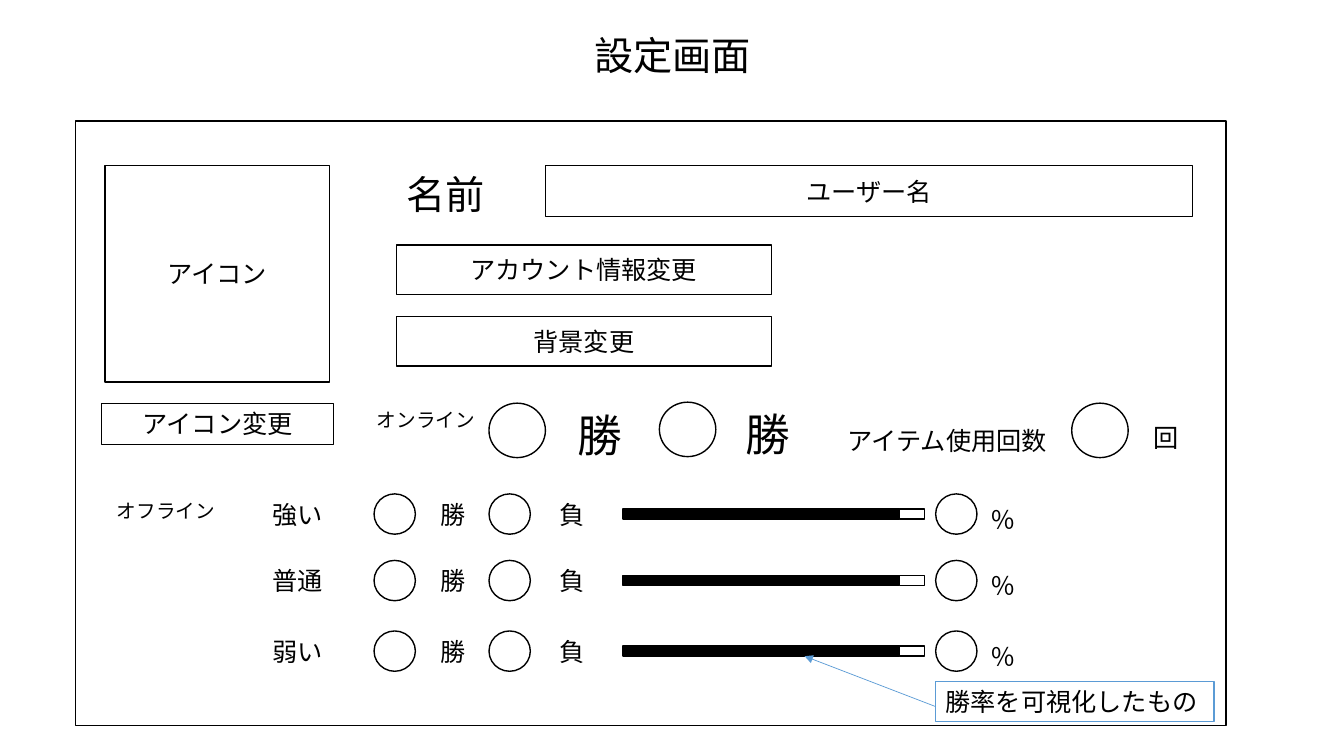
from dataclasses import dataclass

from lxml.etree import SubElement
from pptx import Presentation
from pptx.dml.color import RGBColor
from pptx.enum.shapes import MSO_CONNECTOR, MSO_SHAPE
from pptx.enum.text import MSO_ANCHOR, MSO_AUTO_SIZE, PP_ALIGN
from pptx.oxml.ns import qn
from pptx.shapes.autoshape import Shape
from pptx.slide import Slide
from pptx.util import Inches, Pt

FONT = "Noto Sans CJK JP"
BLACK, WHITE, BLUE = "000000", "FFFFFF", "5B9BD5"
CENTERED = {"vertical_anchor": MSO_ANCHOR.MIDDLE}
GROWING = {"vertical_anchor": MSO_ANCHOR.TOP, "auto_size": MSO_AUTO_SIZE.SHAPE_TO_FIT_TEXT}


@dataclass
class Label:
    text: str
    left: float
    top: float
    width: float
    height: float = 0.4
    size: int = 18


@dataclass
class Figure:
    left: float
    top: float
    width: float
    height: float
    text: str = ""
    kind: MSO_SHAPE = MSO_SHAPE.RECTANGLE
    fill: str = WHITE
    line: str = BLACK


@dataclass
class Difficulty:
    name: str
    top: float


def color(value: str) -> RGBColor:
    return RGBColor.from_string(value)


def write(shape: Shape, text: str, size: int, align: PP_ALIGN, frame_format: dict) -> None:
    frame = shape.text_frame
    for name, value in {"word_wrap": True, **frame_format}.items():
        setattr(frame, name, value)
    paragraph = frame.paragraphs[0]
    paragraph.alignment = align
    run = paragraph.add_run()
    run.text = text
    for name, value in {"name": FONT, "size": Pt(size)}.items():
        setattr(run.font, name, value)
    run.font.color.rgb = color(BLACK)
    SubElement(run.font._element, qn("a:ea"), typeface=FONT)


def draw_label(slide: Slide, label: Label) -> None:
    box = slide.shapes.add_textbox(
        Inches(label.left), Inches(label.top), Inches(label.width), Inches(label.height))
    write(box, label.text, label.size, PP_ALIGN.LEFT, GROWING)


def draw_figure(slide: Slide, figure: Figure) -> Shape:
    shape = slide.shapes.add_shape(
        figure.kind, Inches(figure.left), Inches(figure.top),
        Inches(figure.width), Inches(figure.height))
    shape.shadow.inherit = False
    shape.fill.solid()
    shape.fill.fore_color.rgb = color(figure.fill)
    shape.line.color.rgb = color(figure.line)
    shape.line.width = Pt(1)
    if figure.text:
        write(shape, figure.text, 18, PP_ALIGN.CENTER, CENTERED)
    return shape


def draw_title(slide: Slide) -> None:
    title = slide.shapes.add_textbox(Inches(0.92), Inches(0.4), Inches(11.5), Inches(0.34))
    write(title, "設定画面", 28, PP_ALIGN.CENTER, CENTERED)
    title.text_frame.paragraphs[0].line_spacing = 0.9


def draw_difficulty(slide: Slide, difficulty: Difficulty) -> None:
    top = difficulty.top
    for left in (3.71, 4.85, 9.28):
        draw_figure(slide, Figure(left, top, 0.41, 0.4, kind=MSO_SHAPE.OVAL))
    draw_figure(slide, Figure(6.18, top + 0.15, 2.74, 0.1, fill=BLACK))
    draw_figure(slide, Figure(8.92, top + 0.15, 0.25, 0.1))
    for label in (
        Label(difficulty.name, 2.6, top, 0.72),
        Label("勝", 4.27, top, 0.4),
        Label("負", 5.45, top, 0.4),
        Label("％", 9.73, top + 0.05, 0.4),
    ):
        draw_label(slide, label)


def draw_callout(slide: Slide) -> None:
    arrow = slide.shapes.add_connector(
        MSO_CONNECTOR.STRAIGHT, Inches(9.28), Inches(7.01), Inches(7.98), Inches(6.51))
    arrow.line.color.rgb = color(BLUE)
    arrow.line.width = Pt(0.5)
    SubElement(arrow.line._get_or_add_ln(), qn("a:tailEnd"), type="triangle")
    SubElement(arrow._element.spPr, qn("a:effectLst"))
    callout = draw_figure(slide, Figure(9.28, 6.76, 2.76, 0.4, line=BLUE))
    write(callout, "勝率を可視化したもの", 18, PP_ALIGN.LEFT, GROWING)


FIGURES = [
    Figure(0.75, 1.2, 11.41, 6),
    Figure(1.04, 1.64, 2.23, 2.15, "アイコン"),
    Figure(1.01, 4, 2.3, 0.41, "アイコン変更"),
    Figure(5.41, 1.64, 6.42, 0.51, "ユーザー名"),
    Figure(3.93, 2.43, 3.72, 0.49, "アカウント情報変更"),
    Figure(3.93, 3.14, 3.72, 0.49, "背景変更"),
    *(Figure(left, top, 0.56, 0.54, kind=MSO_SHAPE.OVAL)
      for left, top in ((4.85, 4), (6.54, 3.99), (10.63, 4))),
]

LABELS = [
    Label("名前", 3.93, 1.64, 1.29, 0.57, 28),
    Label("オンライン", 3.64, 4, 1.21, 0.34, 14),
    Label("勝", 5.63, 4, 0.68, 0.64, 32),
    Label("勝", 7.3, 3.99, 0.68, 0.64, 32),
    Label("アイテム使用回数", 8.31, 4.17, 2.82),
    Label("回", 11.34, 4.14, 0.54),
    Label("オフライン", 1.06, 4.9, 1.21, 0.34, 14),
]

DIFFICULTIES = [Difficulty("強い", 4.9), Difficulty("普通", 5.56), Difficulty("弱い", 6.26)]


def main() -> None:
    presentation = Presentation()
    presentation.slide_width = Inches(13.33)
    presentation.slide_height = Inches(7.5)
    slide = presentation.slides.add_slide(presentation.slide_layouts[6])
    draw_title(slide)
    for figure in FIGURES:
        draw_figure(slide, figure)
    for label in LABELS:
        draw_label(slide, label)
    for difficulty in DIFFICULTIES:
        draw_difficulty(slide, difficulty)
    draw_callout(slide)
    presentation.save("out.pptx")


if __name__ == "__main__":
    main()
